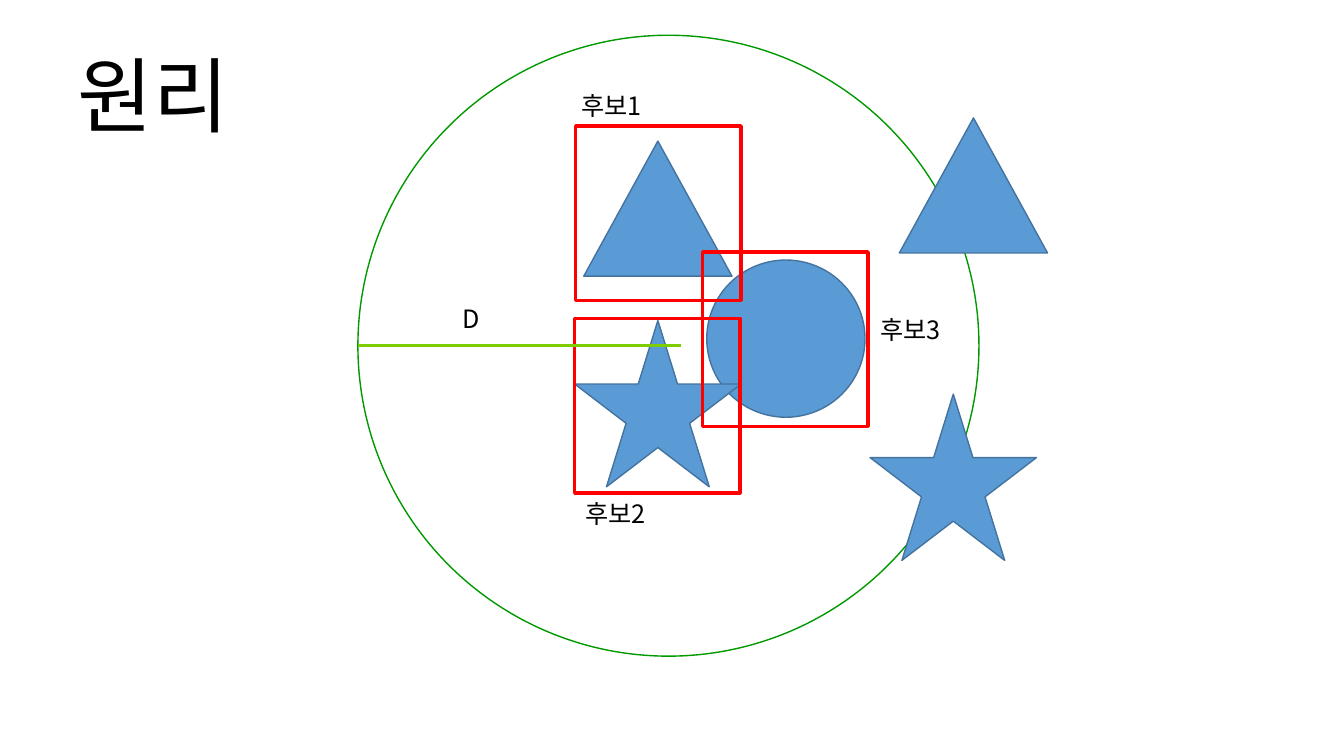
from typing import NamedTuple

import lxml.etree
import pptx
import pptx.dml.color
import pptx.enum.shapes
import pptx.enum.text
import pptx.oxml.ns
import pptx.util

FONT = "Noto Sans CJK KR"
COLORS = {
    "text": "000000",
    "range": "009900",
    "radius": "7DCD00",
    "object": "5B9BD5",
    "outline": "43739E",
    "candidate": "FF0000",
}
SHAPES = pptx.enum.shapes.MSO_SHAPE
Inches = pptx.util.Inches


class Figure(NamedTuple):
    kind: SHAPES
    left: float
    top: float
    width: float
    height: float
    line: str = "outline"
    weight: float = 1
    fill: str | None = "object"


class Label(NamedTuple):
    text: str
    left: float
    top: float
    width: float = 0.96


def triangle(left: float, top: float) -> Figure:
    return Figure(SHAPES.ISOSCELES_TRIANGLE, left, top, 1.47, 1.34)


def star(left: float, top: float) -> Figure:
    return Figure(SHAPES.STAR_5_POINT, left, top, 1.65, 1.65)


def candidate(left: float, top: float) -> Figure:
    return Figure(SHAPES.RECTANGLE, left, top, 1.64, 1.73, "candidate", 2.5, None)


FIGURES = [
    Figure(SHAPES.OVAL, 3.55, 0.35, 6.16, 6.16, "range", 1, None),
    Figure(SHAPES.OVAL, 7.01, 2.58, 1.57, 1.56),
    triangle(5.79, 1.4),
    star(8.63, 3.91),
    star(5.7, 3.18),
    triangle(8.92, 1.17),
    candidate(5.71, 1.25),
    candidate(5.7, 3.16),
    candidate(6.97, 2.5),
]
LABELS = [
    Label("후보1", 5.67, 0.85),
    Label("후보2", 5.71, 4.89),
    Label("후보3", 8.63, 3.07),
    Label("D", 4.49, 2.96, 0.42),
]


def color(name: str) -> pptx.dml.color.RGBColor:
    return pptx.dml.color.RGBColor.from_string(COLORS[name])


def write(frame: pptx.text.text.TextFrame, text: str, size: float) -> None:
    """Set the text in the slide font, for Latin and Korean letters alike."""
    frame.text = text
    font = frame.paragraphs[0].runs[0].font
    font.name = FONT
    font.size = pptx.util.Pt(size)
    font.color.rgb = color("text")
    properties = frame.paragraphs[0].runs[0].font._element
    east_asian = lxml.etree.SubElement(properties, pptx.oxml.ns.qn("a:ea"))
    east_asian.set("typeface", FONT)


def draw_figure(slide: pptx.slide.Slide, figure: Figure) -> None:
    shape = slide.shapes.add_shape(
        figure.kind,
        Inches(figure.left), Inches(figure.top),
        Inches(figure.width), Inches(figure.height),
    )
    shape.shadow.inherit = False
    if figure.fill:
        shape.fill.solid()
        shape.fill.fore_color.rgb = color(figure.fill)
    else:
        shape.fill.background()
    shape.line.color.rgb = color(figure.line)
    shape.line.width = pptx.util.Pt(figure.weight)


def draw_label(slide: pptx.slide.Slide, label: Label) -> None:
    box = slide.shapes.add_textbox(
        Inches(label.left), Inches(label.top), Inches(label.width), Inches(0.4)
    )
    box.text_frame.word_wrap = True
    write(box.text_frame, label.text, 18)
    box.text_frame.auto_size = pptx.enum.text.MSO_AUTO_SIZE.SHAPE_TO_FIT_TEXT


def draw_radius(slide: pptx.slide.Slide) -> None:
    radius = slide.shapes.add_connector(
        pptx.enum.shapes.MSO_CONNECTOR.STRAIGHT,
        Inches(3.55), Inches(3.43), Inches(6.75), Inches(3.43),
    )
    radius.line.color.rgb = color("radius")
    radius.line.width = pptx.util.Pt(2.5)
    lxml.etree.SubElement(
        radius._element.spPr, pptx.oxml.ns.qn("a:effectLst")
    )


def place_title(slide: pptx.slide.Slide) -> None:
    title = slide.shapes.title
    title.left, title.top = Inches(0.67), Inches(0.3)
    title.width, title.height = Inches(12), Inches(1.25)
    frame = title.text_frame
    write(frame, "원리", 58.6)
    frame.vertical_anchor = pptx.enum.text.MSO_ANCHOR.MIDDLE
    frame.paragraphs[0].alignment = pptx.enum.text.PP_ALIGN.LEFT


def main() -> None:
    deck = pptx.Presentation()
    deck.slide_width, deck.slide_height = Inches(13.33), Inches(7.5)
    slide = deck.slides.add_slide(deck.slide_layouts.get_by_name("Title Only"))
    place_title(slide)
    for figure in FIGURES:
        draw_figure(slide, figure)
    draw_radius(slide)
    for label in LABELS:
        draw_label(slide, label)
    deck.save("out.pptx")


if __name__ == "__main__":
    main()
